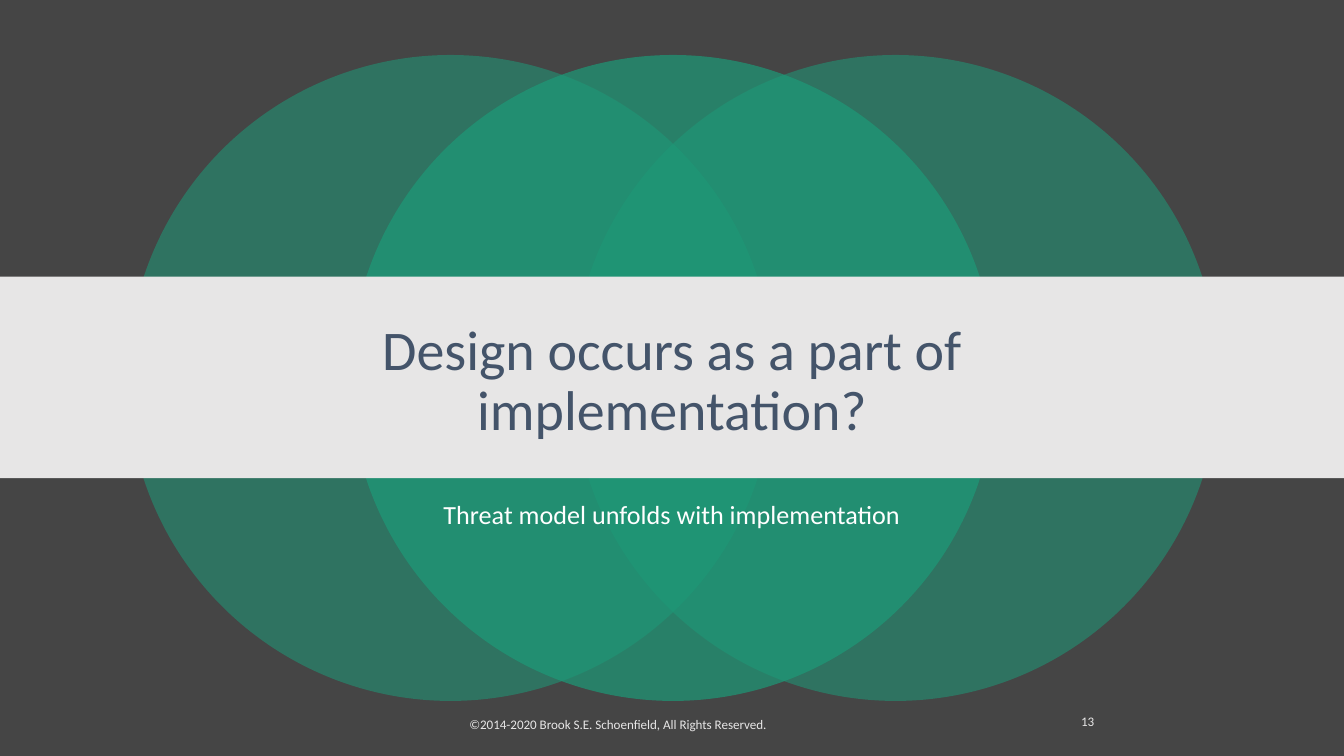
from lxml import etree
from pptx import Presentation
from pptx.dml.color import RGBColor
from pptx.enum.shapes import MSO_SHAPE
from pptx.enum.text import MSO_ANCHOR, MSO_AUTO_SIZE, PP_ALIGN
from pptx.oxml.ns import qn
from pptx.util import Cm, Pt

OVAL, RECT = MSO_SHAPE.OVAL, MSO_SHAPE.RECTANGLE
TOP, MIDDLE = MSO_ANCHOR.TOP, MSO_ANCHOR.MIDDLE
LEFT, CENTER, RIGHT = PP_ALIGN.LEFT, PP_ALIGN.CENTER, PP_ALIGN.RIGHT
NO_FIT = MSO_AUTO_SIZE.NONE

FONT = "Calibri"
DARK, GREEN, PALE, NAVY, WHITE = "454545", "1D9A78", "E7E6E6", "44546A", "FFFFFF"
WIDTH, HEIGHT = 25.4, 14.29


def paint(fill, color, alpha=100):
    """Give a solid fill, see-through when alpha is below 100."""
    fill.solid()
    fill.fore_color.rgb = RGBColor.from_string(color)
    if alpha < 100:
        node = fill._xPr.find(qn("a:solidFill"))[0]
        etree.SubElement(node, qn("a:alpha"), val=str(alpha * 1000))


def draw(slide, kind, box, color, alpha=100):
    shape = slide.shapes.add_shape(kind, *map(Cm, box))
    shape.shadow.inherit = False
    shape.line.fill.background()
    paint(shape.fill, color, alpha)


def write(shape, text, size, color, align, anchor=MIDDLE, inset=0.25, pitch=None):
    """Set one paragraph of text and its format."""
    frame = shape.text_frame
    frame.text = text
    frame.word_wrap = True
    frame.auto_size = NO_FIT
    frame.vertical_anchor = anchor
    frame.margin_left = frame.margin_right = Cm(inset)
    para = frame.paragraphs[0]
    para.alignment = align
    para.line_spacing = pitch
    font = para.runs[0].font
    font.name, font.size = FONT, Pt(size)
    font.color.rgb = RGBColor.from_string(color)


def add_text(slide, box, *args, **format):
    write(slide.shapes.add_textbox(*map(Cm, box)), *args, **format)


def add_rings(slide, box):
    """Three equal circles spread over the box, the middle one in front."""
    left, top, width, size = box
    step = (width - size) / 2
    for place, alpha in ((0, 55), (2, 55), (1, 70)):
        draw(slide, OVAL, (left + place * step, top, size, size), GREEN, alpha)


def add_band(slide, box):
    """Full-width band with the title centred on it."""
    left, top, width, height = box
    draw(slide, RECT, box, PALE)
    title = slide.shapes.title
    side = width / 8
    title.left, title.top = Cm(left + side), Cm(top + 0.56)
    title.width, title.height = Cm(width - 2 * side), Cm(2.87)
    write(title, "Design occurs as a part of implementation?", 30, NAVY,
          CENTER, inset=0.5, pitch=0.9)
    # Bring the title in front of the band
    title.element.getparent().append(title.element)


def add_footer(slide, box):
    """Rights note on the left, page number on the right."""
    left, top, width, height = box
    add_text(slide, (left, top, 8.05, height),
             "©2014-2020 Brook S.E. Schoenfield, All Rights Reserved.",
             7, PALE, LEFT, inset=0.18)
    add_text(slide, (left + width - 0.84, top - 0.05, 0.84, height),
             "13", 7, PALE, RIGHT)


def main():
    deck = Presentation()
    deck.slide_width, deck.slide_height = Cm(WIDTH), Cm(HEIGHT)
    slide = deck.slides.add_slide(deck.slide_layouts[5])
    paint(slide.background.fill, DARK)

    add_footer(slide, (8.69, 13.41, 12.24, 0.56))
    add_rings(slide, (2.41, 1.04, 20.62, 12.21))
    add_band(slide, (0, 5.23, WIDTH, 3.81))
    # Subtitle
    add_text(slide, (WIDTH / 8, 9.37, WIDTH * 3 / 4, 1.57),
             "Threat model unfolds with implementation",
             14, WHITE, CENTER, anchor=TOP, pitch=0.9)

    deck.save("out.pptx")


if __name__ == "__main__":
    main()
